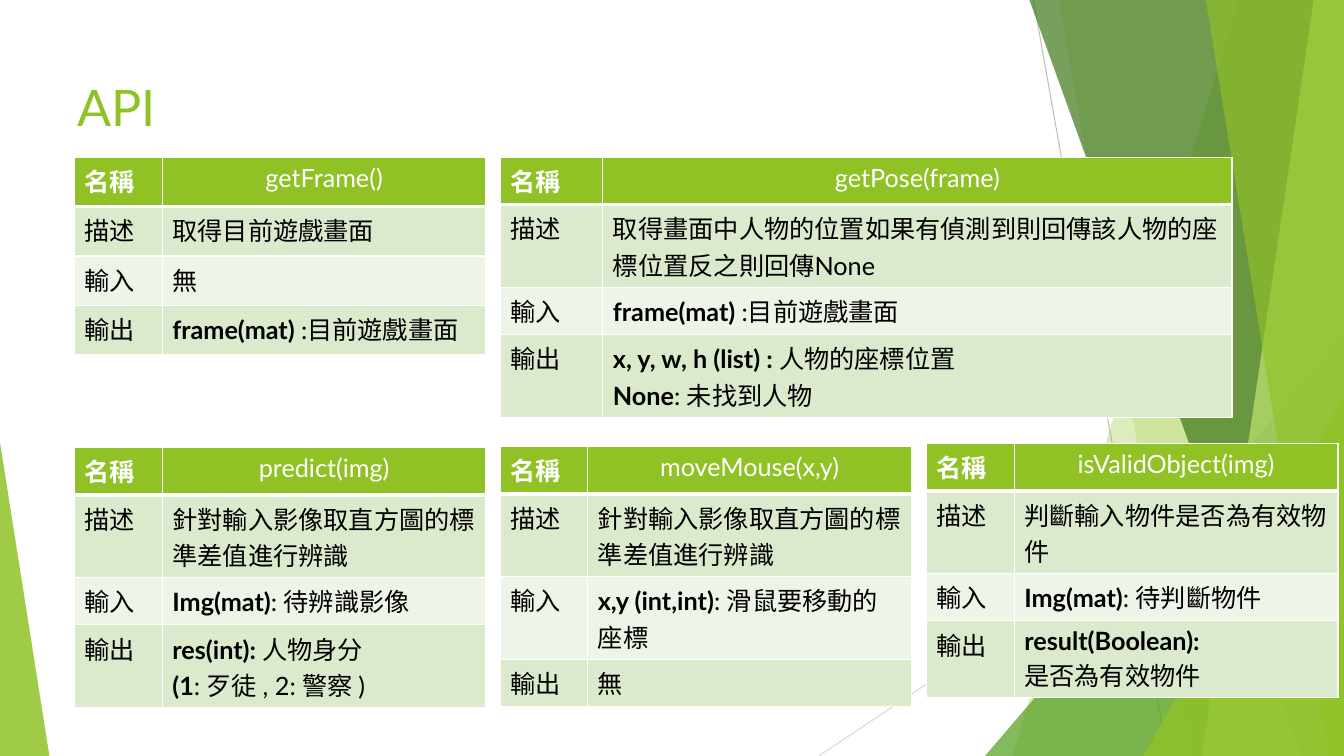
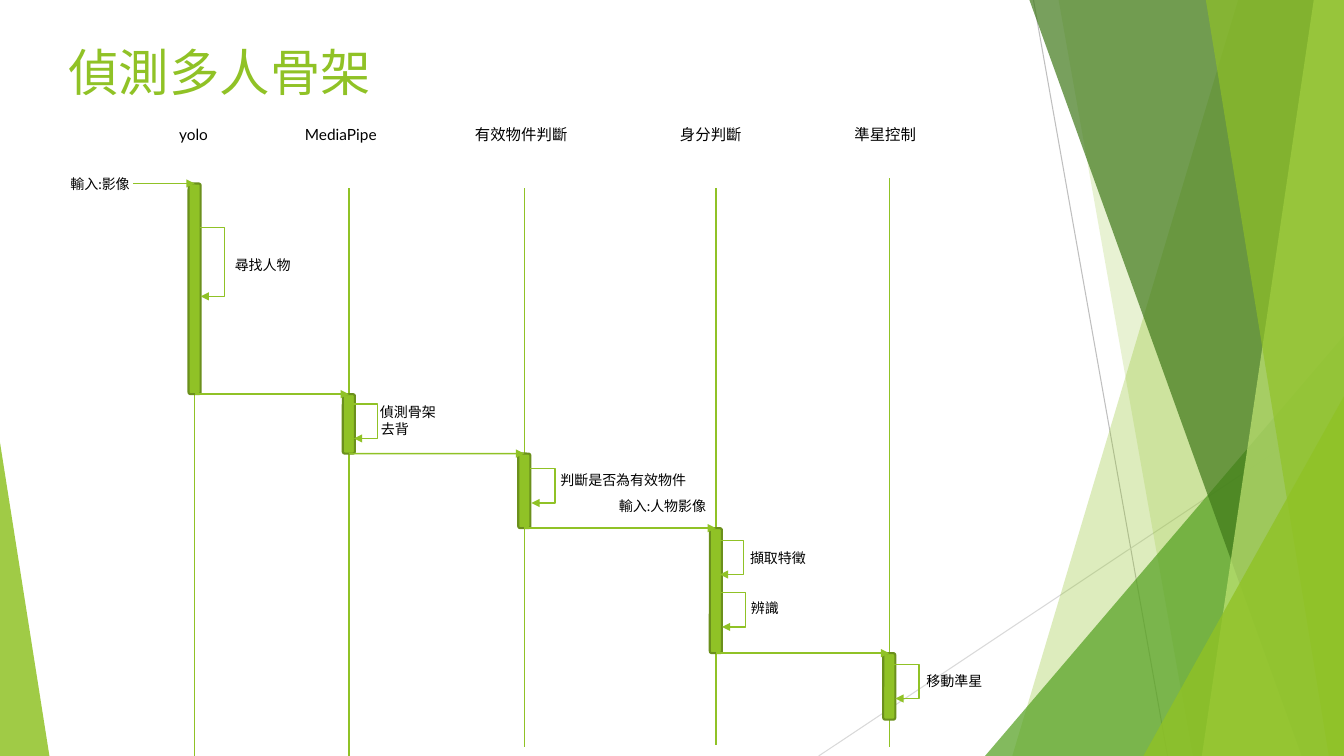
"""Build two green-themed slides: API tables and a detection sequence diagram."""
from itertools import pairwise

from lxml import etree
from pptx import Presentation
from pptx.dml.color import RGBColor
from pptx.enum.shapes import MSO_CONNECTOR, MSO_SHAPE
from pptx.enum.text import PP_ALIGN
from pptx.oxml.ns import qn
from pptx.util import Inches, Pt

STRAIGHT, ELBOW = MSO_CONNECTOR.STRAIGHT, MSO_CONNECTOR.ELBOW
TRIANGLE, ROUNDED = MSO_SHAPE.ISOSCELES_TRIANGLE, MSO_SHAPE.ROUNDED_RECTANGLE
LEFT, CENTER = PP_ALIGN.LEFT, PP_ALIGN.CENTER
TOP_SIDE, BOTTOM_SIDE = 0, 2
WIDTH, HEIGHT = 13.33, 7.5
GREEN, DARK_GREEN = "90C226", "6B901C"
WHITE, BLACK = "FFFFFF", "000000"
BODY_FILLS = ["DBE9CD", "EEF4E8", "DBE9CD"]
FONT = "Lato"


def write(text_frame, paragraphs, size, color, alignment=LEFT):
    """Fill a text frame with paragraphs of (text, bold) runs."""
    text_frame.word_wrap = True
    for index, runs in enumerate(paragraphs):
        paragraph = text_frame.add_paragraph() if index else text_frame.paragraphs[0]
        paragraph.alignment = alignment
        for text, bold in runs:
            if text:
                run = paragraph.add_run()
                run.text = text
                for name, value in {"name": FONT, "size": Pt(size), "bold": bold}.items():
                    setattr(run.font, name, value)
                run.font.color.rgb = RGBColor.from_string(color)


def draw_line(slide, kind, start, end, color=GREEN, width=1, arrow=False):
    """Add a shadowless connector between two points given in inches."""
    connector = slide.shapes.add_connector(kind, *map(Inches, (*start, *end)))
    connector.line.color.rgb = RGBColor.from_string(color)
    connector.line.width = Pt(width)
    properties = connector.element.spPr
    if arrow:
        etree.SubElement(properties.find(qn("a:ln")), qn("a:tailEnd"), type="triangle")
    etree.SubElement(properties, qn("a:effectLst"))
    return connector


presentation = Presentation()
presentation.slide_width = Inches(WIDTH)
presentation.slide_height = Inches(HEIGHT)

titles = [("API", 0.67, 0.71, 1.44), ("偵測多人骨架", 0.58, 0.36, 0.77)]
background_lines = [
    ((10.25, 0), (11.58, HEIGHT), "BFBFBF"),
    ((WIDTH, 4.03), (8.12, HEIGHT), "D9D9D9"),
]
facets = [
    (GREEN, 30, (12.28, 10.04)),
    (GREEN, 20, (10.5, 11.83)),
    ("54A021", 72, (9.77, 3.33, 3.56, 4.17, 1)),
    ("3F7819", 70, (10.21, 12.91)),
    ("C0E474", 70, (13.03, 11.92)),
    (GREEN, 65, (11.96, 13.18)),
    (GREEN, 80, (11.34, 3.93, 1.99, 3.57, 1)),
    (GREEN, 85, (0, 4.39, 0.49, 3.11, 0)),
]
slides = []
for title, left, top, height in titles:
    slide = presentation.slides.add_slide(presentation.slide_layouts[6])
    slides.append(slide)
    for start, end, color in background_lines:
        draw_line(slide, STRAIGHT, start, end, color, 0.75)
    for color, opacity, geometry in facets:
        if len(geometry) == 2:
            top_x, bottom_x = geometry
            builder = slide.shapes.build_freeform(Inches(top_x), 0)
            corners = [(WIDTH, 0), (WIDTH, HEIGHT), (bottom_x, HEIGHT)]
            builder.add_line_segments([(Inches(x), Inches(y)) for x, y in corners])
            shape = builder.convert_to_shape()
        else:
            *box, peak = geometry
            shape = slide.shapes.add_shape(TRIANGLE, *map(Inches, box))
            shape.adjustments[0] = peak
        shape.shadow.inherit = False
        shape.line.fill.background()
        shape.fill.solid()
        shape.fill.fore_color.rgb = RGBColor.from_string(color)
        fill_color = shape.element.spPr.find(qn("a:solidFill")).find(qn("a:srgbClr"))
        etree.SubElement(fill_color, qn("a:alpha"), val=str(opacity * 1000))
    box = slide.shapes.add_textbox(*map(Inches, (left, top, 9.4, height)))
    write(box.text_frame, [[(title, False)]], 36, GREEN)

api_slide, sequence_slide = slides

row_names = ["名稱", "描述", "輸入", "輸出"]
narrow, wide = (0.87, 3.21), (1.02, 6.24)
one_line, two_lines = 0.47, 0.82
api_tables = [
    (0.74, 4.44, narrow, (one_line, two_lines, one_line, two_lines), "predict(img)", [
        [("", "針對輸入影像取直方圖的標準差值進行辨識")],
        [("Img(mat)", ": 待辨識影像")],
        [("res(int): ", "人物身分"), ("(1", ": 歹徒 , 2: 警察 )")],
    ]),
    (0.74, 1.56, narrow, (0.49, 0.49, 0.49, 0.49), "getFrame()", [
        [("", "取得目前遊戲畫面")],
        [("", "無")],
        [("frame(mat) ", ":目前遊戲畫面")],
    ]),
    (4.96, 1.56, wide, (one_line, two_lines, one_line, two_lines), "getPose(frame)", [
        [("", "取得畫面中人物的位置如果有偵測到則回傳該人物的座標位置反之則回傳None")],
        [("frame(mat) ", ":目前遊戲畫面")],
        [("x, y, w, h (list) : ", "人物的座標位置"), ("None", ": 未找到人物")],
    ]),
    (4.96, 4.43, narrow, (one_line, two_lines, two_lines, one_line), "moveMouse(x,y)", [
        [("", "針對輸入影像取直方圖的標準差值進行辨識")],
        [("x,y (int,int)", ": 滑鼠要移動的座標")],
        [("", "無")],
    ]),
    (9.19, 4.4, narrow, (one_line, two_lines, one_line, 0.76), "isValidObject(img)", [
        [("", "判斷輸入物件是否為有效物件")],
        [("Img(mat)", ": 待判斷物件")],
        [("result(Boolean):", ""), ("", "是否為有效物件")],
    ]),
]
for left, top, columns, heights, function_name, details in api_tables:
    frame = api_slide.shapes.add_table(
        4, 2, *map(Inches, (left, top, sum(columns), sum(heights))))
    table = frame.table
    table.horz_banding = False
    for column, width in zip(table.columns, columns):
        column.width = Inches(width)
    for row, height in zip(table.rows, heights):
        row.height = Inches(height)
    values = [[("", function_name)], *details]
    for row_index, (row_name, value) in enumerate(zip(row_names, values)):
        header = row_index == 0
        value_runs = [[(strong, True), (plain, False)] for strong, plain in value]
        contents = [[[(row_name, header)]], value_runs]
        for column_index, paragraphs in enumerate(contents):
            cell = table.cell(row_index, column_index)
            write(cell.text_frame, paragraphs, 18, WHITE if header else BLACK,
                  CENTER if header and column_index else LEFT)
            cell_properties = cell._tc.get_or_add_tcPr()
            for side in ("lnL", "lnR", "lnT", "lnB"):
                thick = (row_index, side) in [(0, "lnB"), (1, "lnT")]
                border = etree.SubElement(
                    cell_properties, qn(f"a:{side}"), w=str(Pt(3 if thick else 1)))
                border_fill = etree.SubElement(border, qn("a:solidFill"))
                etree.SubElement(border_fill, qn("a:srgbClr"), val=WHITE)
            cell.fill.solid()
            cell.fill.fore_color.rgb = RGBColor.from_string(
                GREEN if header else BODY_FILLS[row_index - 1])

participants = [
    ("yolo", 1.92, 1.93, 1.87, 7.5),
    ("MediaPipe", 3.38, 3.46, 1.87, 7.5),
    ("有效物件判斷", 5.17, 5.2, 1.87, 7.41),
    ("身分判斷", 7.05, 7.1, 1.87, 7.39),
    ("準星控制", 8.78, 8.82, 1.77, 7.41),
]
handover_times = [1.82, 3.91, 4.5, 5.24, 6.48, 7.14]
label_width = 1.35
bar_width = 0.12
labels = [
    ("輸入:影像", 0.6, 1.69, 0.83, 10, LEFT),
    ("尋找人物", 2.23, 2.5, 1.49, 10, LEFT),
    ("偵測骨架", 3.67, 3.95, 0.81, 10, LEFT),
    ("去背", 3.68, 4.12, 0.5, 10, LEFT),
    ("判斷是否為有效物件", 5.46, 4.63, 1.49, 10, LEFT),
    ("輸入:人物影像", 6.04, 4.89, 1.17, 10, LEFT),
    ("擷取特徵", 7.34, 5.4, 0.89, 10, LEFT),
    ("辨識", 7.35, 5.9, 0.89, 10, LEFT),
    ("移動準星", 9.09, 6.62, 0.89, 10, LEFT),
]
bars = []
for participant, (start_time, end_time) in zip(participants, pairwise(handover_times)):
    name, label_center, lifeline_x, lifeline_top, lifeline_bottom = participant
    labels.append((name, label_center - label_width / 2, 1.19, label_width, 11, CENTER))
    draw_line(sequence_slide, STRAIGHT,
              (lifeline_x, lifeline_top), (lifeline_x, lifeline_bottom))
    bar = sequence_slide.shapes.add_shape(ROUNDED, *map(
        Inches, (lifeline_x - bar_width / 2, start_time, bar_width, end_time - start_time)))
    bar.shadow.inherit = False
    bar.fill.solid()
    bar.fill.fore_color.rgb = RGBColor.from_string(GREEN)
    bar.line.color.rgb = RGBColor.from_string(DARK_GREEN)
    bar.line.width = Pt(1.5)
    bars.append(bar)

input_arrow = draw_line(sequence_slide, STRAIGHT, (1.32, 1.82), (1.93, 1.82), arrow=True)
input_arrow.end_connect(bars[0], TOP_SIDE)
for sender, receiver in pairwise(bars):
    message = draw_line(sequence_slide, STRAIGHT, (0, 0), (1, 0), arrow=True)
    message.begin_connect(sender, BOTTOM_SIDE)
    message.end_connect(receiver, TOP_SIDE)

self_calls = [
    (1.98, 2.26, 0.68),
    (3.5, 4.01, 0.34),
    (5.26, 4.65, 0.34),
    (7.13, 5.36, 0.34),
    (7.15, 5.88, 0.34),
    (8.87, 6.59, 0.34),
]
loop_step, loop_reach = 0.01, 0.25
for x, y, height in self_calls:
    self_call = draw_line(
        sequence_slide, ELBOW, (x, y), (x + loop_step, y + height), arrow=True)
    adjustments = self_call.element.spPr.find(qn("a:prstGeom")).find(qn("a:avLst"))
    bend = round(loop_reach / loop_step * 100000)
    etree.SubElement(adjustments, qn("a:gd"), name="adj1", fmla=f"val {bend}")

for text, left, top, width, size, alignment in labels:
    box = sequence_slide.shapes.add_textbox(*map(Inches, (left, top, width, 0.28)))
    write(box.text_frame, [[(text, False)]], size, BLACK, alignment)

presentation.save("out.pptx")
